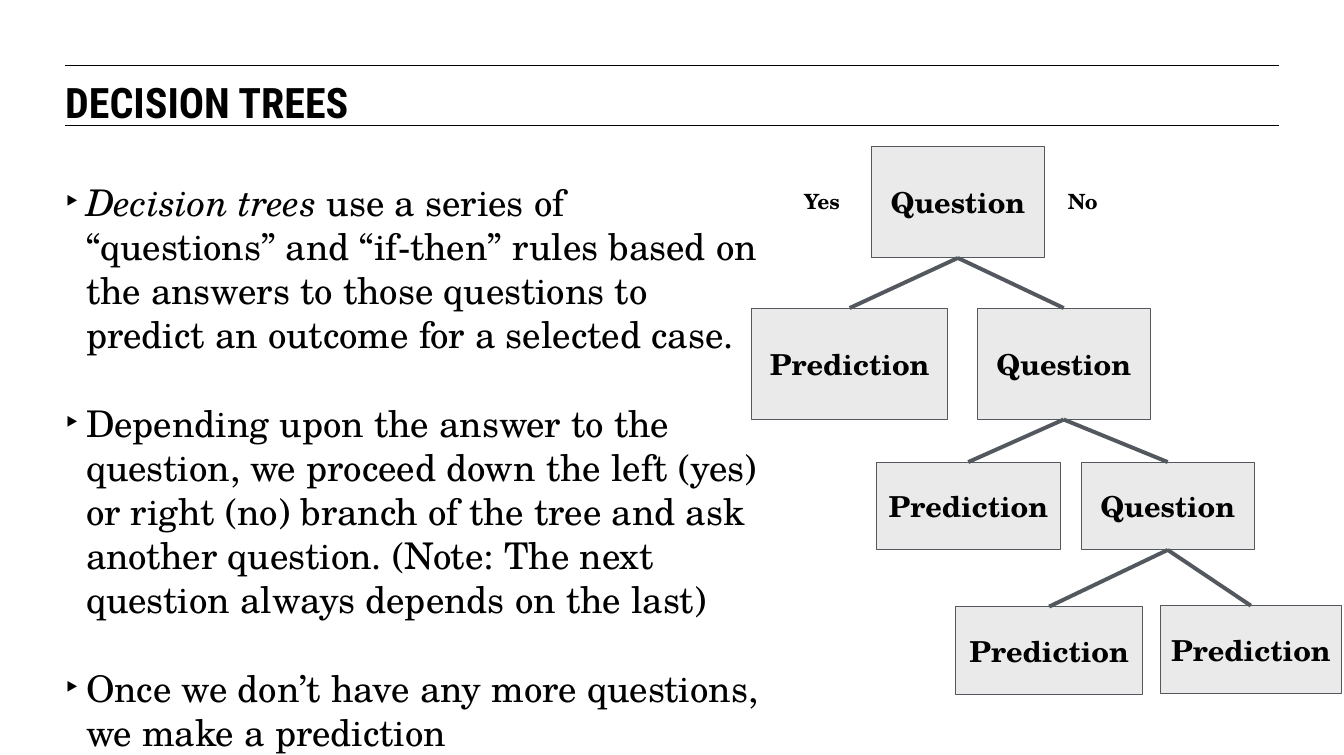
import pptx
import pptx.util
import pptx.dml.color
import pptx.enum.shapes
import pptx.enum.text
import pptx.oxml.ns
from lxml import etree

Inches, Pt = pptx.util.Inches, pptx.util.Pt
RGB = pptx.dml.color.RGBColor.from_string
qn = pptx.oxml.ns.qn
ALIGN = pptx.enum.text.PP_ALIGN
ANCHOR = pptx.enum.text.MSO_ANCHOR
CONNECTOR = pptx.enum.shapes.MSO_CONNECTOR

THEME = {
    "ink": "000000", "node": "EAEAEA", "edge": "53585F",
    "title": {"name": "Roboto Condensed", "size": Pt(32), "bold": True},
    "body": {"name": "TeX Gyre Schola", "size": Pt(28)},
    "node_text": {"name": "TeX Gyre Schola", "size": Pt(22), "bold": True},
    "label": {"name": "TeX Gyre Schola", "size": Pt(16), "bold": True},
}


def add_text(p, text, style, **extra):
    r = p.add_run()
    r.text = text
    for key, value in {**THEME[style], **extra}.items():
        setattr(r.font, key, value)
    r.font.color.rgb = RGB(THEME["ink"])


def add_line(x1, y1, x2, y2, color, width):
    c = s.shapes.add_connector(CONNECTOR.STRAIGHT, Inches(x1), Inches(y1),
                               Inches(x2), Inches(y2))
    c.line.color.rgb = RGB(THEME[color])
    c.line.width = Pt(width)
    etree.SubElement(c._element.spPr, qn("a:effectLst"))
    return c


prs = pptx.Presentation()
prs.slide_width, prs.slide_height = Inches(14.22), Inches(7.99)
s = prs.slides.add_slide(prs.slide_layouts[1])

# Rules around the title
for y in (0.69, 1.33):
    add_line(0.69, y, 13.53, y, "ink", 0.75)

# Title and body placeholders
title, body = s.shapes.title, s.placeholders[1]
for sp, box, inset in ((title, (0.69, 0.81, 12.83, 0.47), 0),
                       (body, (0.69, 1.42, 7.38, 4.17), 0.48)):
    sp.left, sp.top, sp.width, sp.height = map(Inches, box)
    frame = {"margin_left": 0, "margin_right": 0, "margin_bottom": 0,
             "margin_top": Inches(inset), "vertical_anchor": ANCHOR.TOP,
             "word_wrap": True, "auto_size": pptx.enum.text.MSO_AUTO_SIZE.NONE}
    for key, value in frame.items():
        setattr(sp.text_frame, key, value)

p = title.text_frame.paragraphs[0]
p.alignment = ALIGN.LEFT
add_text(p, "DECISION TREES", "title")

# Bulleted list; each entry is an italic lead and the remaining text
points = [
    ("Decision trees ", "use a series of “questions” and “if-then” rules based on "
     "the answers to those questions to predict an outcome for a selected case."),
    ("", "Depending upon the answer to the question, we proceed down the left (yes) "
     "or right (no) branch of the tree and ask another question. (Note: The next "
     "question always depends on the last)"),
    ("", "Once we don’t have any more questions, we make a prediction"),
]
tf = body.text_frame
for i, (lead, text) in enumerate(points):
    p = tf.add_paragraph() if i else tf.paragraphs[0]
    p.alignment = ALIGN.LEFT
    p.space_before, p.space_after = Pt(0), Pt(34)
    pPr = p._p.get_or_add_pPr()
    pPr.set("marL", str(Inches(0.22)))
    pPr.set("indent", str(-Inches(0.22)))
    color = etree.SubElement(pPr, qn("a:buClr"))
    etree.SubElement(color, qn("a:srgbClr"), val=THEME["ink"])
    etree.SubElement(pPr, qn("a:buChar"), char="‣")
    if lead:
        add_text(p, lead, "body", italic=True)
    add_text(p, text, "body")

# Tree nodes: text, parent index, left, top, width, height
nodes = [
    ("Question", None, 9.22, 1.55, 1.83, 1.18),
    ("Prediction", 0, 7.95, 3.26, 2.08, 1.18),
    ("Question", 0, 10.34, 3.26, 1.83, 1.18),
    ("Prediction", 2, 9.27, 4.89, 1.95, 0.93),
    ("Question", 2, 11.44, 4.89, 1.83, 0.93),
    ("Prediction", 4, 10.11, 6.42, 1.98, 0.93),
    ("Prediction", 4, 12.28, 6.41, 1.91, 0.93),
]
boxes = []
for text, parent, *box in nodes:
    sp = s.shapes.add_shape(pptx.enum.shapes.MSO_SHAPE.RECTANGLE, *map(Inches, box))
    sp.shadow.inherit = False
    sp.fill.solid()
    sp.fill.fore_color.rgb = RGB(THEME["node"])
    sp.line.color.rgb = RGB(THEME["edge"])
    sp.line.width = Pt(0.75)
    tf = sp.text_frame
    tf.word_wrap = False
    tf.vertical_anchor = ANCHOR.MIDDLE
    for side in ("left", "right", "top", "bottom"):
        setattr(tf, "margin_" + side, Inches(0.1))
    p = tf.paragraphs[0]
    p.alignment = ALIGN.CENTER
    add_text(p, text, "node_text")
    boxes.append(sp)

# Branches from the bottom of a parent to the top of its child
for (text, parent, *box), sp in zip(nodes, boxes):
    if parent is not None:
        c = add_line(0, 0, 0, 0, "edge", 3)
        c.begin_connect(boxes[parent], 2)
        c.end_connect(sp, 0)

# Branch labels
for text, x, w in (("Yes", 8.41, 0.61), ("No", 11.2, 0.53)):
    sp = s.shapes.add_textbox(Inches(x), Inches(1.95), Inches(w), Inches(0.37))
    sp.text_frame.word_wrap = False
    add_text(sp.text_frame.paragraphs[0], text, "label")

prs.save("out.pptx")
